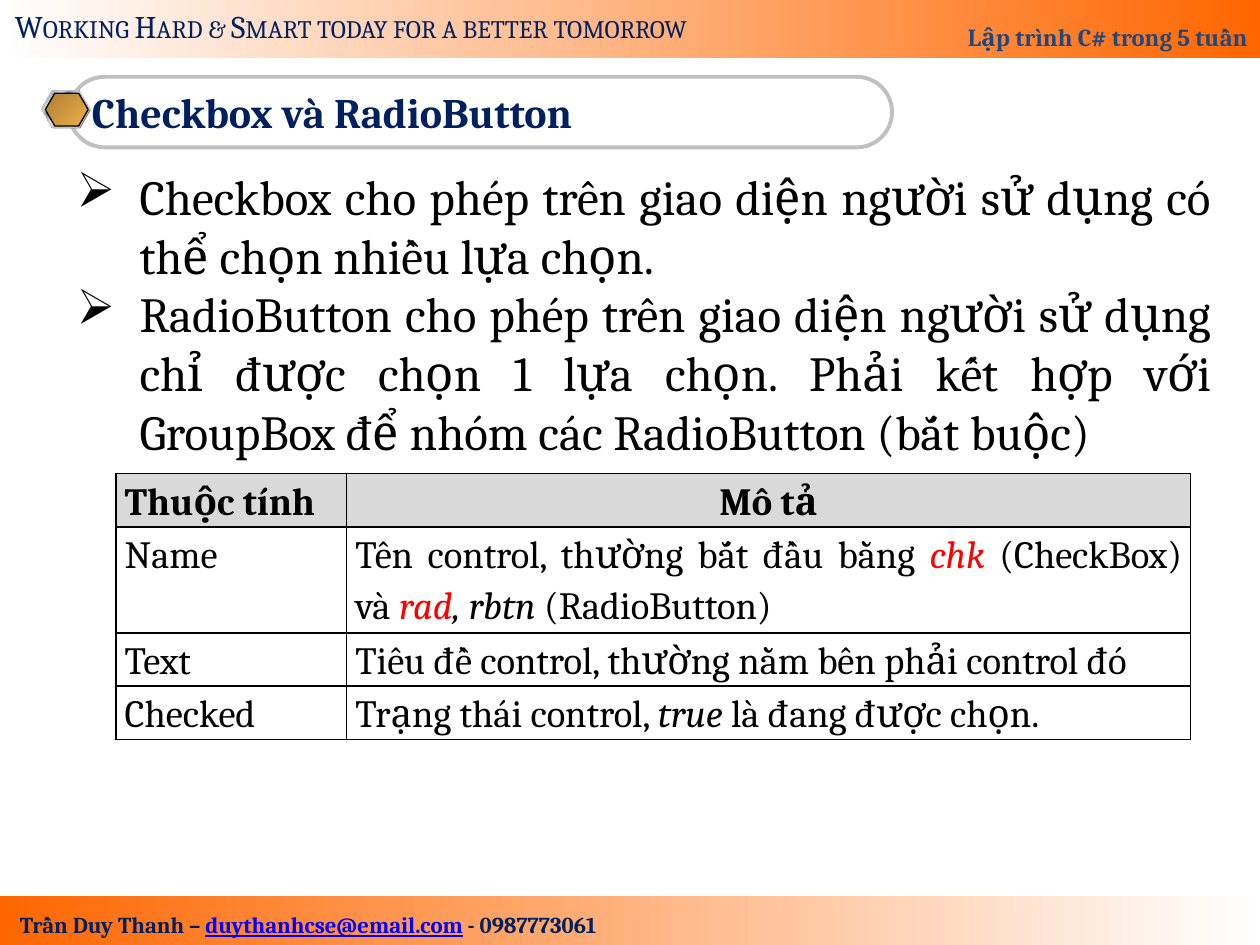
from dataclasses import dataclass, field

from lxml.etree import SubElement
from pptx import Presentation
from pptx.dml.color import RGBColor
from pptx.enum.shapes import MSO_SHAPE
from pptx.enum.text import MSO_ANCHOR, PP_ALIGN
from pptx.oxml import parse_xml
from pptx.oxml.ns import nsdecls, qn
from pptx.util import Inches, Pt


@dataclass(frozen=True)
class Theme:
    """Colours, font and type sizes of the slide."""
    font: str = "Cambria"
    navy: str = "002060"
    blue: str = "1F497D"
    link: str = "0000FF"
    red: str = "FF0000"
    black: str = "000000"
    white: str = "FFFFFF"
    orange: str = "FF6600"
    silver: str = "C0C0C0"
    gray: str = "808080"
    head: str = "D9D9D9"
    gold: tuple = ((0, "AB7E34"), (100, "EFB049"))
    steel: tuple = tuple(zip(
        (0, 7, 26, 34, 46, 50, 54, 66, 74, 93, 100),
        ("E6E6E6", "7D8496", "E6E6E6", "7D8496", "E6E6E6", "FFFFFF",
         "E6E6E6", "7D8496", "E6E6E6", "7D8496", "E6E6E6")))
    foot: int = 13
    course: int = 14
    motto: int = 18
    cell: int = 22
    title: int = 24
    body: int = 28


@dataclass(frozen=True)
class Run:
    """A piece of text and what sets it apart."""
    text: str
    look: dict = field(default_factory=dict)


@dataclass(frozen=True)
class Gem:
    """One hexagon layer of the title marker."""
    box: tuple
    paint: object
    line: str = ""


THEME = Theme()
RED = {"color": THEME.red, "italic": True}
ITALIC = {"italic": True}

BARS = [
    ((0, 7.11, 10, 0.39), ((0, THEME.orange), (100, THEME.white))),
    ((0, 0, 10, 0.46), ((0, THEME.white), (100, THEME.orange))),
]
GEMS = [
    Gem((0.34, 0.73, 0.38, 0.29), THEME.gray),
    Gem((0.33, 0.72, 0.38, 0.29), THEME.steel, THEME.silver),
    Gem((0.36, 0.74, 0.34, 0.26), THEME.gold, THEME.black),
]
POINTS = [
    "Checkbox cho phép trên giao diện người sử dụng có thể chọn nhiều lựa chọn.",
    "RadioButton cho phép trên giao diện người sử dụng chỉ được chọn 1 lựa "
    "chọn. Phải kết hợp với GroupBox để nhóm các RadioButton (bắt buộc)",
]
ROWS = [
    ([Run("Thuộc tính")], [Run("Mô tả")]),
    ([Run("Name")],
     [Run("Tên control, thường bắt đầu bằng "), Run("chk ", RED),
      Run("(CheckBox) và "), Run("rad", RED), Run(", rbtn ", ITALIC),
      Run("(RadioButton)")]),
    ([Run("Text")], [Run("Tiêu đề control, thường nằm bên phải control đó")]),
    ([Run("Checked")],
     [Run("Trạng thái control, "), Run("true", ITALIC),
      Run(" là đang được chọn.")]),
]


def assign(target, values: dict) -> None:
    """Set each named attribute on the target."""
    for name, value in values.items():
        setattr(target, name, value)


def write(para, runs: list, size: int, color: str, form: dict, **base):
    """Fill a paragraph with styled runs."""
    assign(para, form)
    for item in runs:
        look = {"name": THEME.font, "size": Pt(size), "color": color} | base | item.look
        run = para.add_run()
        run.text = item.text
        run.font.color.rgb = RGBColor.from_string(look.pop("color"))
        assign(run.font, look)


def paint(shape, tint) -> None:
    """Give a shape no fill, a plain fill or a list of gradient stops."""
    if tint is None:
        shape.fill.background()
    elif isinstance(tint, str):
        shape.fill.solid()
        shape.fill.fore_color.rgb = RGBColor.from_string(tint)
    else:
        shape.fill.gradient()
        shape.fill.gradient_angle = 0 if tint[-1][1] == THEME.orange or \
            tint[0][1] == THEME.orange else 315
        stops = shape.fill._fill._gradFill.find(qn("a:gsLst"))
        for stop in list(stops):
            stops.remove(stop)
        for place, color in tint:
            stop = SubElement(stops, qn("a:gs"), pos=str(place * 1000))
            SubElement(stop, qn("a:srgbClr"), val=color)


def draw(slide, kind, box: tuple, tint, line: str = "", width: float = 0.75):
    """Add a preset shape without shadow."""
    shape = slide.shapes.add_shape(kind, *map(Inches, box))
    shape.shadow.inherit = False
    paint(shape, tint)
    if line:
        shape.line.color.rgb = RGBColor.from_string(line)
        shape.line.width = Pt(width)
    else:
        shape.line.fill.background()
    return shape


def label(slide, box: tuple, wrap: bool = False):
    """Add a text box and return its frame."""
    frame = slide.shapes.add_textbox(*map(Inches, box)).text_frame
    frame.word_wrap = wrap
    return frame


def banner(slide) -> None:
    """Draw both bars with their words."""
    foot, top = [draw(slide, MSO_SHAPE.RECTANGLE, *bar) for bar in BARS]
    frame = top.text_frame
    assign(frame, {"vertical_anchor": MSO_ANCHOR.BOTTOM, "word_wrap": True})
    write(frame.paragraphs[0], [Run("Lập trình C# trong 5 tuần")], THEME.course,
          THEME.blue, {"alignment": PP_ALIGN.RIGHT, "line_spacing": 1.8}, bold=True)
    frame = label(slide, (-0.08, 7.18, 5.05, 0.32))
    mail = Run("duythanhcse@email.com", {"color": THEME.link, "underline": True})
    write(frame.paragraphs[0], [Run("Trần Duy Thanh – "), mail, Run(" - 0987773061")],
          THEME.foot, THEME.navy, {"alignment": PP_ALIGN.CENTER}, bold=True)
    para = label(slide, (0.02, 0.01, 5.9, 0.4)).paragraphs[0]
    write(para, [Run("Working Hard & Smart today for a better tomorrow")],
          THEME.motto, THEME.navy, {"alignment": PP_ALIGN.LEFT})
    para.runs[0].font._element.set("cap", "small")


def title(slide) -> None:
    """Draw the title pill and its marker."""
    pill = draw(slide, MSO_SHAPE.ROUNDED_RECTANGLE, (0.55, 0.61, 6.53, 0.56),
                None, THEME.silver, 2.25)
    pill.adjustments[0] = 0.5
    frame = pill.text_frame
    assign(frame, {"vertical_anchor": MSO_ANCHOR.MIDDLE, "word_wrap": False})
    write(frame.paragraphs[0], [Run("Checkbox và RadioButton")], THEME.title,
          THEME.navy, {"alignment": PP_ALIGN.LEFT}, bold=True)
    for gem in GEMS:
        shape = draw(slide, MSO_SHAPE.HEXAGON, gem.box, gem.paint, gem.line)
        shape.adjustments[0] = 0.289


def body(slide) -> None:
    """Write the bulleted points."""
    frame = label(slide, (0.51, 1.27, 9.2, 2.93), True)
    for index, text in enumerate(POINTS):
        para = frame.add_paragraph() if index else frame.paragraphs[0]
        write(para, [Run(text)], THEME.body, THEME.black,
              {"alignment": PP_ALIGN.JUSTIFY})
        props = para._p.get_or_add_pPr()
        props.set("marL", str(Inches(0.5)))
        props.set("indent", str(Inches(-0.5)))
        SubElement(props, qn("a:buChar"), char="➢")


def border(cell) -> None:
    """Rule all four sides of a cell."""
    props = cell._tc.get_or_add_tcPr()
    for index, side in enumerate("LRTB"):
        props.insert(index, parse_xml(
            f'<a:ln{side} {nsdecls("a")} w="{Pt(1)}"><a:solidFill>'
            f'<a:srgbClr val="{THEME.black}"/></a:solidFill></a:ln{side}>'))


def grid(slide) -> None:
    """Build the table of properties."""
    table = slide.shapes.add_table(len(ROWS), 2, *map(Inches, (0.92, 3.76, 8.53, 2.1))).table
    for column, width in zip(table.columns, (1.83, 6.7)):
        column.width = Inches(width)
    for row, height in zip(table.rows, (0.42, 0.84, 0.42, 0.42)):
        row.height = Inches(height)
    inset = dict.fromkeys(("margin_left", "margin_right"), Inches(0.07))
    inset |= dict.fromkeys(("margin_top", "margin_bottom"), 0)
    for y, texts in enumerate(ROWS):
        for x, runs in enumerate(texts):
            cell = table.cell(y, x)
            assign(cell, inset)
            paint(cell, THEME.white if y else THEME.head)
            border(cell)
            align = PP_ALIGN.CENTER if (y, x) == (0, 1) else PP_ALIGN.JUSTIFY
            form = {"alignment": align, "line_spacing": 1.15,
                    "space_before": Pt(5), "space_after": Pt(5)}
            write(cell.text_frame.paragraphs[0], runs, THEME.cell, THEME.black,
                  form, bold=y == 0)


def main() -> None:
    """Build and save the slide."""
    deck = Presentation()
    assign(deck, {"slide_width": Inches(10), "slide_height": Inches(7.5)})
    slide = deck.slides.add_slide(deck.slide_layouts[6])
    for part in (banner, title, body, grid):
        part(slide)
    deck.save("out.pptx")


main()
